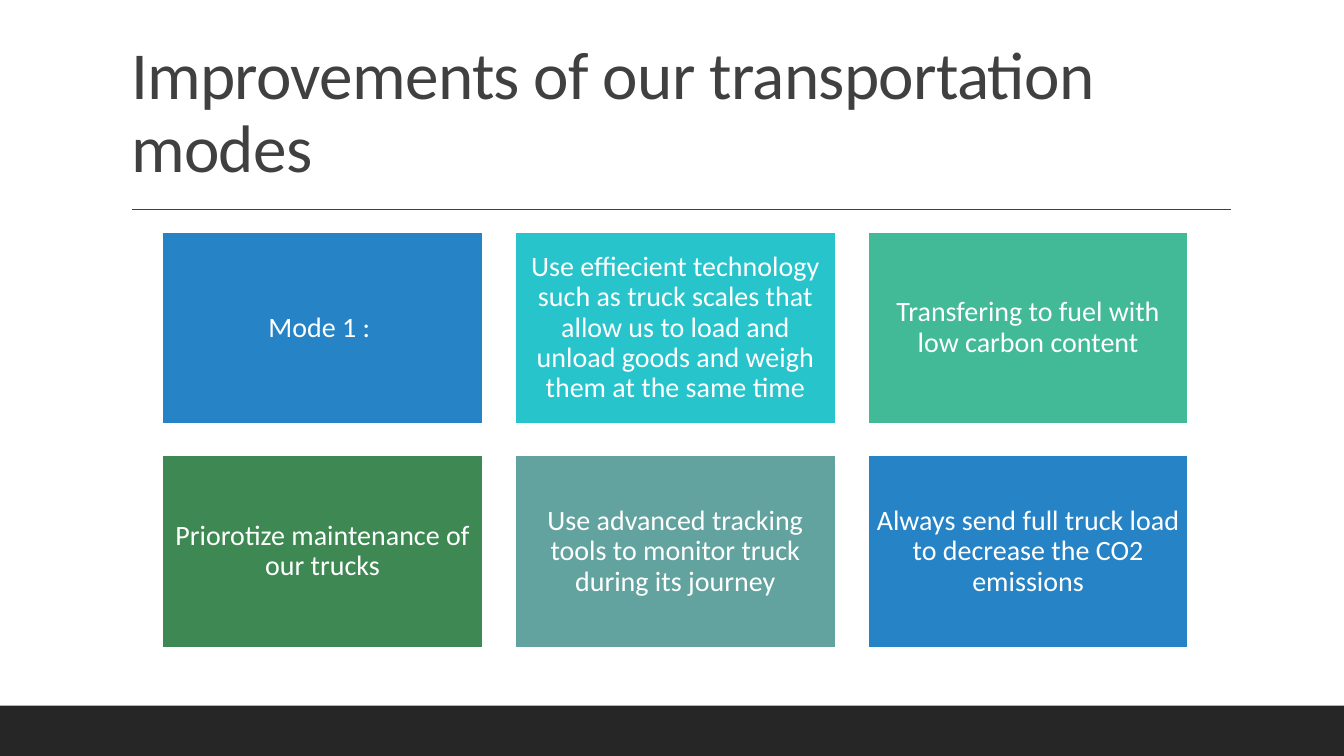
from lxml import etree
from pptx import Presentation
from pptx.dml.color import RGBColor
from pptx.enum.shapes import MSO_CONNECTOR as Link, MSO_SHAPE as Shape
from pptx.enum.text import MSO_ANCHOR as Anchor, MSO_AUTO_SIZE as Fit, PP_ALIGN as Align
from pptx.oxml.ns import qn
from pptx.util import Cm, Pt


def paint(target, color):
    """Give a fill, font or line one solid colour."""
    if hasattr(target, "solid"):
        target.solid()
        target = target.fore_color
    else:
        target = target.color
    target.rgb = RGBColor.from_string(color)


def write(frame, text, size, color, anchor, align):
    frame.text = text
    frame.word_wrap = True
    frame.auto_size = Fit.NONE
    frame.vertical_anchor = anchor
    para = frame.paragraphs[0]
    para.alignment = align
    para.line_spacing = 0.9
    font = para.runs[0].font
    font.name = "Calibri"
    font.size = Pt(size)
    paint(font, color)


deck = Presentation()
deck.slide_width, deck.slide_height = Cm(33.87), Cm(19.05)
slide = deck.slides.add_slide(deck.slide_layouts[5])
shapes = slide.shapes

# Title
title = shapes.title
title.left, title.top, title.width, title.height = Cm(3.05), Cm(0.79), Cm(27.94), Cm(4.04)
write(title.text_frame, "Improvements of our transportation modes",
      48, "404040", Anchor.BOTTOM, Align.LEFT)
title.text_frame.paragraphs[0].runs[0].font._element.set("spc", "-50")

# Rule under the title
rule = shapes.add_connector(Link.STRAIGHT, Cm(3.33), Cm(5.28), Cm(31.01), Cm(5.28))
rule.line.width = Pt(1)
paint(rule.line, "404040")
etree.SubElement(rule._element.spPr, qn("a:effectLst"))

# Footer band
band = shapes.add_shape(Shape.RECTANGLE, 0, Cm(17.78), deck.slide_width, Cm(1.27))
band.shadow.inherit = False
band.line.fill.background()
paint(band.fill, "262626")

# Cards, three to a row
cards = [
    ("Mode 1 : ", "2683C6"),
    ("Use effiecient technology such as truck scales that allow us to load and "
     "unload goods and weigh them at the same time", "28C4CC"),
    ("Transfering to fuel with low carbon content", "42BA97"),
    ("Priorotize maintenance of our trucks", "3E8853"),
    ("Use advanced tracking tools to monitor truck during its journey", "62A39F"),
    ("Always send full truck load to decrease the CO2 emissions", "2683C6"),
]
for num, (text, color) in enumerate(cards):
    row, col = divmod(num, 3)
    card = shapes.add_shape(Shape.RECTANGLE, Cm(4.09 + 8.89 * col), Cm(5.84 + 5.64 * row),
                            Cm(8.08), Cm(4.85))
    card.shadow.inherit = False
    paint(card.fill, color)
    paint(card.line, "FFFFFF")
    card.line.width = Pt(1.25)
    frame = card.text_frame
    frame.margin_left = frame.margin_right = Cm(0.2)
    frame.margin_top = frame.margin_bottom = Cm(0.2)
    write(frame, text, 20, "FFFFFF", Anchor.MIDDLE, Align.CENTER)

deck.save("out.pptx")
